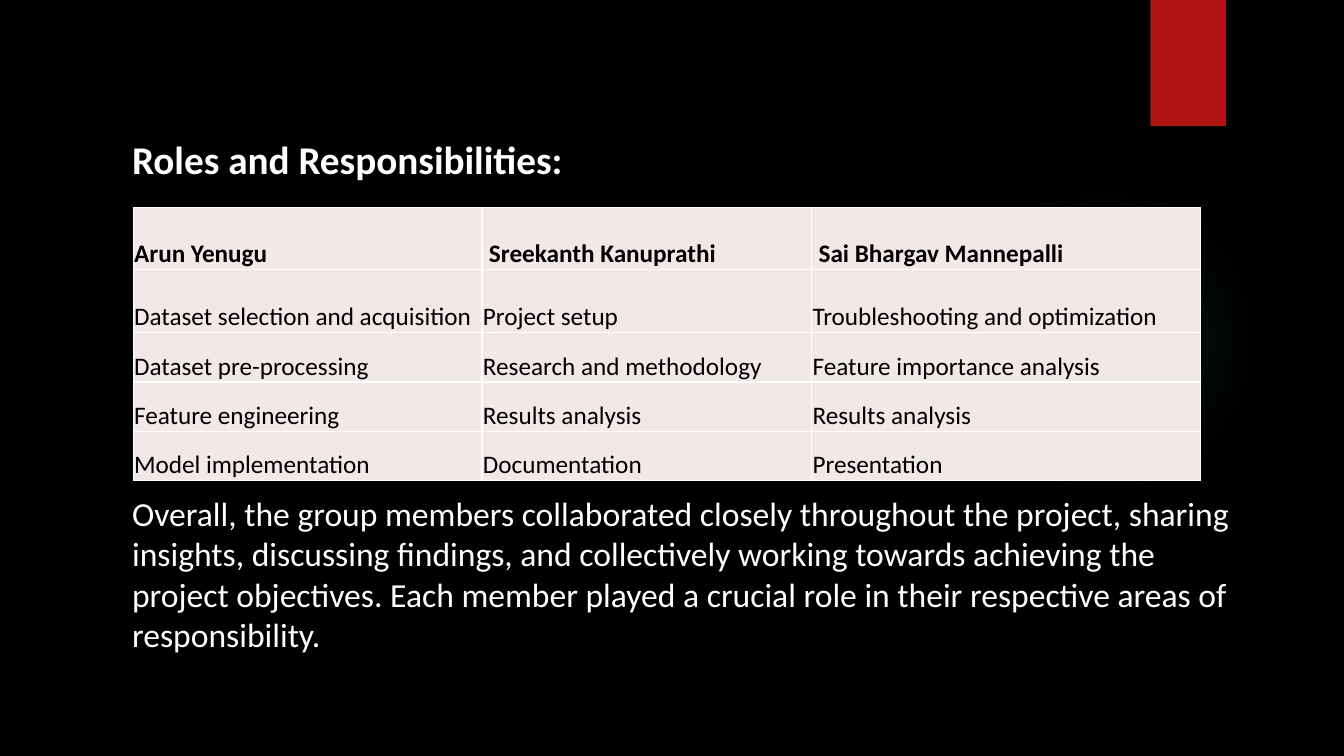
from lxml import etree
from pptx import Presentation
from pptx.dml.color import RGBColor
from pptx.enum.shapes import MSO_SHAPE as SHAPE
from pptx.enum.text import MSO_ANCHOR as ANCHOR, MSO_AUTO_SIZE as AUTO, PP_ALIGN as ALIGN
from pptx.oxml import parse_xml
from pptx.oxml.ns import nsdecls, qn
from pptx.util import Inches, Pt

BLACK = RGBColor(0x00, 0x00, 0x00)
WHITE = RGBColor(0xFF, 0xFF, 0xFF)
RED = RGBColor(0xB0, 0x15, 0x13)
TEAL = RGBColor(0x50, 0xB9, 0xC1)
BLUSH = RGBColor(0xF2, 0xE8, 0xE7)
FONT = "Calibri"

COL_WIDTHS = [3.46, 3.27, 3.86]
ROW_HEIGHTS = [0.61, 0.63, 0.49, 0.49, 0.49]
ROLES = [
    ["Arun Yenugu", "Sreekanth Kanuprathi", "Sai Bhargav Mannepalli"],
    ["Dataset selection and acquisition", "Project setup", "Troubleshooting and optimization"],
    ["Dataset pre-processing", "Research and methodology", "Feature importance analysis"],
    ["Feature engineering", "Results analysis", "Results analysis"],
    ["Model implementation", "Documentation", "Presentation"],
]
SUMMARY = (
    "Overall, the group members collaborated closely throughout the project, sharing insights, "
    "discussing findings, and collectively working towards achieving the project objectives. "
    "Each member played a crucial role in their respective areas of responsibility."
)


def write_text(tf, text, size, color=WHITE, bold=False):
    p = tf.paragraphs[0]
    p.alignment = ALIGN.LEFT
    p.space_before = Pt(0)
    r = p.add_run()
    r.text = text
    r.font.name, r.font.size, r.font.bold = FONT, Pt(size), bold
    r.font.color.rgb = color
    return p


def fill_placeholder(sp, box, text, size, anchor=ANCHOR.TOP, bold=False):
    sp.left, sp.top, sp.width, sp.height = (Inches(v) for v in box)
    tf = sp.text_frame
    tf.word_wrap = True
    tf.auto_size = AUTO.NONE
    tf.vertical_anchor = anchor
    p = write_text(tf, text, size, bold=bold)
    # No bullet or hanging indent
    pPr = p._p.get_or_add_pPr()
    pPr.set("marL", "0")
    pPr.set("indent", "0")
    etree.SubElement(pPr, qn("a:buNone"))


def add_block(slide, kind, box, color):
    sp = slide.shapes.add_shape(kind, *(Inches(v) for v in box))
    sp.shadow.inherit = False
    sp.fill.solid()
    sp.fill.fore_color.rgb = color
    sp.line.fill.background()
    return sp


def make_glow(sp, color, stops):
    """Replace the solid fill by a radial one; stops are (position, opacity) in percent."""
    gs = "".join(
        f'<a:gs pos="{pos * 1000}"><a:srgbClr val="{color}">'
        f'<a:alpha val="{alpha * 1000}"/></a:srgbClr></a:gs>'
        for pos, alpha in stops
    )
    grad = parse_xml(
        f'<a:gradFill {nsdecls("a")}><a:gsLst>{gs}</a:gsLst><a:path path="circle">'
        '<a:fillToRect l="50000" t="50000" r="50000" b="50000"/></a:path></a:gradFill>'
    )
    spPr = sp._element.spPr
    spPr.replace(spPr.find(qn("a:solidFill")), grad)


def set_borders(cell, color, width):
    tcPr = cell._tc.get_or_add_tcPr()
    for i, side in enumerate(("lnL", "lnR", "lnT", "lnB")):
        tcPr.insert(i, parse_xml(
            f'<a:{side} {nsdecls("a")} w="{Pt(width)}"><a:solidFill>'
            f'<a:srgbClr val="{color}"/></a:solidFill></a:{side}>'
        ))


def add_roles_table(slide, left, top):
    frame = slide.shapes.add_table(
        len(ROLES), len(COL_WIDTHS), Inches(left), Inches(top),
        Inches(sum(COL_WIDTHS)), Inches(sum(ROW_HEIGHTS)))
    table = frame.table
    for col, width in zip(table.columns, COL_WIDTHS):
        col.width = Inches(width)
    for row, height in zip(table.rows, ROW_HEIGHTS):
        row.height = Inches(height)
    for i, texts in enumerate(ROLES):
        for j, text in enumerate(texts):
            cell = table.cell(i, j)
            header = i == 0
            cell.margin_left = Inches(0.07 if header and j else 0.01)
            cell.margin_right = cell.margin_top = Inches(0.01)
            cell.margin_bottom = 0
            cell.vertical_anchor = ANCHOR.BOTTOM
            cell.fill.solid()
            cell.fill.fore_color.rgb = BLUSH
            set_borders(cell, WHITE, 1)
            write_text(cell.text_frame, text, 18, color=BLACK, bold=header)


def main():
    prs = Presentation()
    prs.slide_width, prs.slide_height = Inches(13.33), Inches(7.5)
    slide = prs.slides.add_slide(prs.slide_layouts[1])
    slide.background.fill.solid()
    slide.background.fill.fore_color.rgb = BLACK

    # Backdrop
    glow = add_block(slide, SHAPE.OVAL, (9.41, 1.83, 3.08, 3.08), TEAL)
    make_glow(glow, TEAL, [(0, 7), (36, 6), (69, 0)])
    add_block(slide, SHAPE.RECTANGLE, (11.41, 0, 0.75, 1.25), RED)

    # Heading and summary
    fill_placeholder(slide.shapes.title, (1.21, 1.28, 11.33, 0.6),
                     "Roles and Responsibilities:", 28, ANCHOR.MIDDLE, bold=True)
    fill_placeholder(slide.placeholders[1], (1.21, 4.84, 11.33, 1.99), SUMMARY, 24)

    # Roles by member
    add_roles_table(slide, 1.32, 2.06)

    prs.save("out.pptx")


main()
